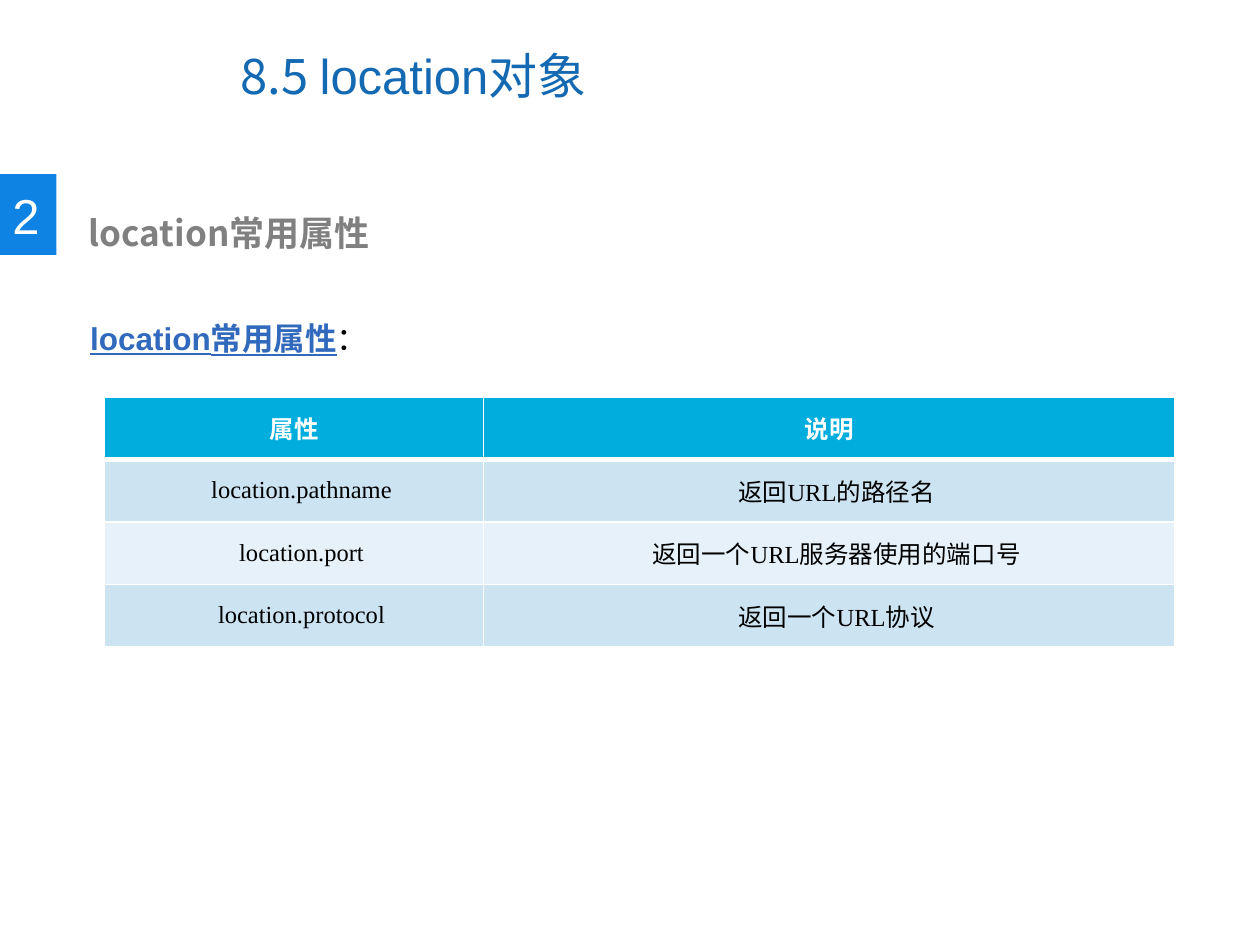
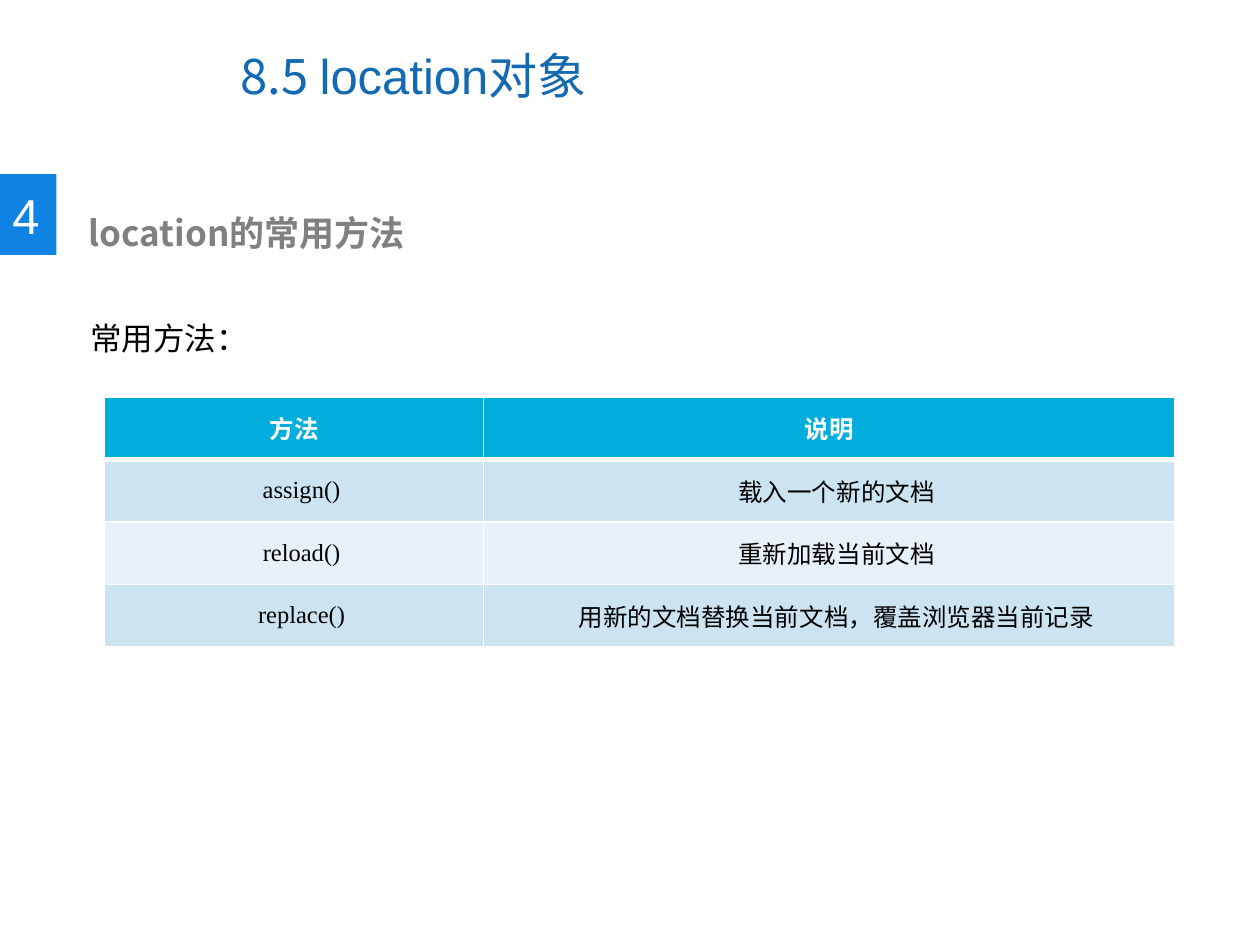
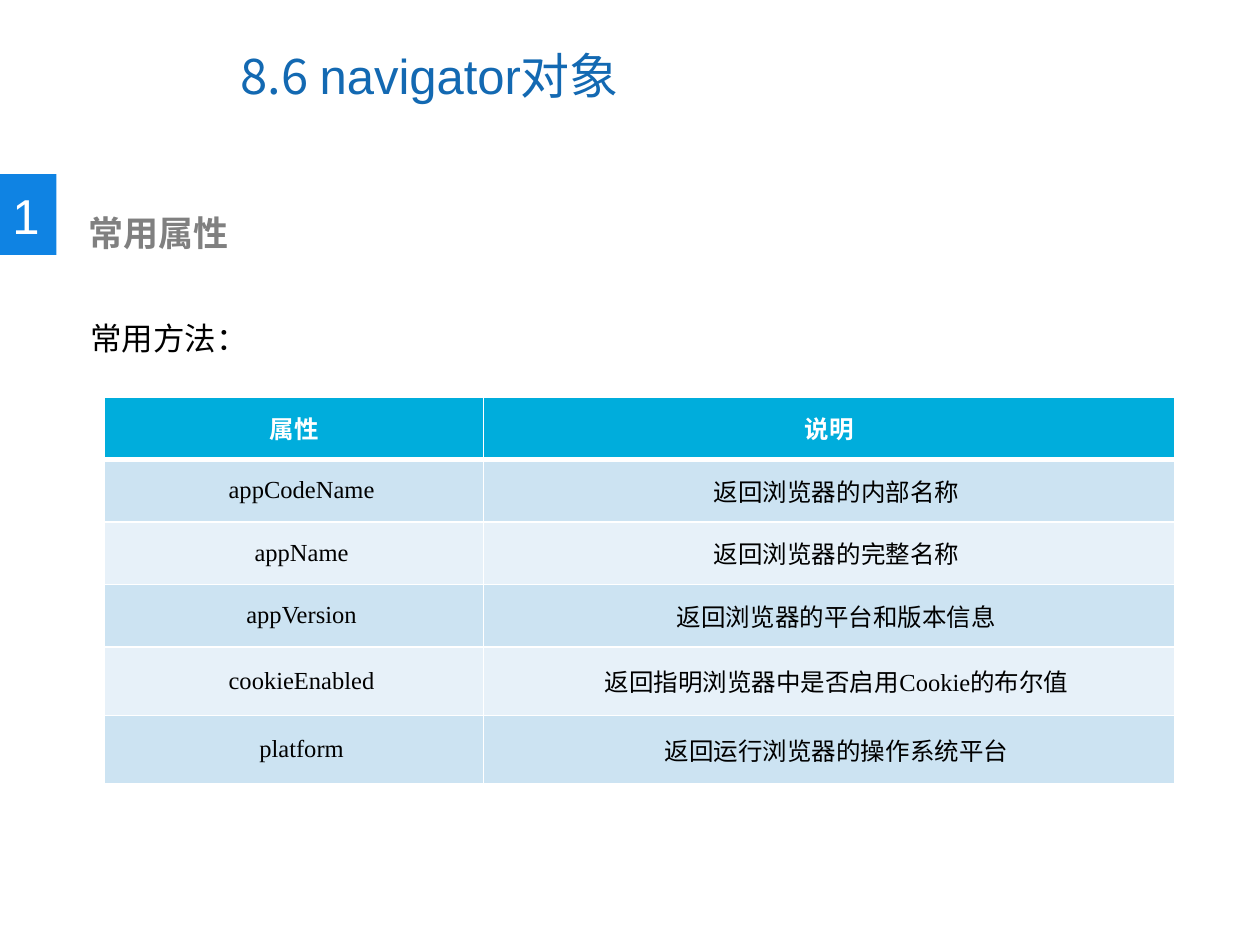
from dataclasses import dataclass

from lxml import etree
from pptx import Presentation
from pptx.dml.color import RGBColor
from pptx.enum.shapes import MSO_SHAPE
from pptx.enum.text import MSO_ANCHOR, PP_ALIGN
from pptx.oxml.ns import qn
from pptx.util import Cm, Pt

RECTANGLE = MSO_SHAPE.RECTANGLE
MIDDLE = MSO_ANCHOR.MIDDLE
LEFT, CENTER = PP_ALIGN.LEFT, PP_ALIGN.CENTER

WHITE = RGBColor(0xFF, 0xFF, 0xFF)
BLACK = RGBColor(0x00, 0x00, 0x00)
GRAY = RGBColor(0x80, 0x80, 0x80)
TITLE_BLUE = RGBColor(0x13, 0x69, 0xB2)
BADGE_BLUE = RGBColor(0x0F, 0x83, 0xE3)
TERM_BLUE = RGBColor(0x31, 0x69, 0xBD)
HEADER_CYAN = RGBColor(0x00, 0xAD, 0xDC)
BANDS = (RGBColor(0xCC, 0xE3, 0xF2), RGBColor(0xE7, 0xF1, 0xF9))

ARIAL = "Arial"
SERIF = "Times New Roman"
CHINESE = "Noto Sans CJK SC"

COLUMN_WIDTHS = (Cm(7.64), Cm(13.93))
ROW_HEIGHT = Cm(1.26)
TALL_ROW_HEIGHT = Cm(1.38)
FIRST_TALL_ROW = 4


@dataclass(frozen=True)
class Span:
    text: str
    size: int
    font: str = ARIAL
    color: RGBColor = BLACK
    bold: bool = False
    underline: bool = False


@dataclass(frozen=True)
class Topic:
    chapter: str
    subject: str
    number: str
    heading: str
    lead: tuple[Span, ...]
    rows: tuple[tuple[str, str], ...]


METHODS_LEAD = (Span("常用方法：", 18),)

TOPICS = (
    Topic(
        "8.5 ", "location", "2", "location常用属性",
        (Span("location常用属性", 18, color=TERM_BLUE, bold=True, underline=True),
         Span("：", 18)),
        (("属性", "说明"),
         ("location.pathname", "返回URL的路径名"),
         ("location.port", "返回一个URL服务器使用的端口号"),
         ("location.protocol", "返回一个URL协议")),
    ),
    Topic(
        "8.5 ", "location", "4", "location的常用方法", METHODS_LEAD,
        (("方法", "说明"),
         ("assign()", "载入一个新的文档"),
         ("reload()", "重新加载当前文档"),
         ("replace()", "用新的文档替换当前文档，覆盖浏览器当前记录")),
    ),
    Topic(
        "8.6 ", "navigator", "1", "常用属性", METHODS_LEAD,
        (("属性", "说明"),
         ("appCodeName", "返回浏览器的内部名称"),
         ("appName", "返回浏览器的完整名称"),
         ("appVersion", "返回浏览器的平台和版本信息"),
         ("cookieEnabled", "返回指明浏览器中是否启用Cookie的布尔值"),
         ("platform", "返回运行浏览器的操作系统平台")),
    ),
)


def write(para, *spans: Span, align=LEFT, indent=Cm(0)) -> None:
    para.alignment = align
    if indent:
        para_properties = para._p.get_or_add_pPr()
        para_properties.set("marL", str(int(indent)))
        para_properties.set("indent", "0")
    for span in spans:
        run = para.add_run()
        run.text = span.text
        font = run.font
        font.name, font.size = span.font, Pt(span.size)
        font.bold, font.underline = span.bold, span.underline
        font.color.rgb = span.color
        east_asian = etree.SubElement(run._r.get_or_add_rPr(), qn("a:ea"))
        east_asian.set("typeface", CHINESE)


def add_text(shapes, left, top, width, height, wrap=True):
    """Add a text box and return its first paragraph."""
    frame = shapes.add_textbox(left, top, width, height).text_frame
    frame.word_wrap = wrap
    return frame.paragraphs[0]


def set_title(page, topic: Topic) -> None:
    title = page.shapes.title
    title.left, title.top = Cm(4.6), Cm(0.43)
    title.width, title.height = Cm(13.11), Cm(2.16)
    title.text_frame.vertical_anchor = MIDDLE
    write(
        title.text_frame.paragraphs[0],
        Span(topic.chapter, 28, CHINESE, TITLE_BLUE),
        Span(topic.subject, 28, ARIAL, TITLE_BLUE),
        Span("对象", 28, CHINESE, TITLE_BLUE),
    )


def add_badge(page, number: str) -> None:
    badge = page.shapes.add_group_shape()
    square = badge.shapes.add_shape(RECTANGLE, Cm(0), Cm(3.51), Cm(1.14), Cm(1.63))
    square.shadow.inherit = False
    square.fill.solid()
    square.fill.fore_color.rgb = BADGE_BLUE
    square.line.fill.background()
    para = add_text(badge.shapes, Cm(0), Cm(3.61), Cm(1.07), Cm(1.45), wrap=False)
    write(para, Span(number, 28, color=WHITE))


def set_borders(cell, top: float, bottom: float) -> None:
    """Draw white cell borders; the side lines are always 1 point wide."""
    cell_properties = cell._tc.get_or_add_tcPr()
    widths = {"a:lnL": 1, "a:lnR": 1, "a:lnT": top, "a:lnB": bottom}
    for position, (tag, width) in enumerate(widths.items()):
        line = etree.Element(qn(tag), w=str(int(Pt(width))))
        fill = etree.SubElement(line, qn("a:solidFill"))
        etree.SubElement(fill, qn("a:srgbClr"), val=str(WHITE))
        cell_properties.insert(position, line)


def format_cell(cell, text: str, row_index: int) -> None:
    is_header = row_index == 0
    cell.margin_left = cell.margin_right = Cm(0.2)
    cell.margin_top = cell.margin_bottom = Cm(0)
    cell.vertical_anchor = MIDDLE
    cell.fill.solid()
    cell.fill.fore_color.rgb = HEADER_CYAN if is_header else BANDS[(row_index - 1) % 2]
    set_borders(cell, top=3 if row_index == 1 else 1, bottom=3 if is_header else 1)
    write(
        cell.text_frame.paragraphs[0],
        Span(text, 14, SERIF, WHITE if is_header else BLACK, bold=is_header),
        align=CENTER,
        indent=Cm(0 if is_header else 0.3),
    )


def add_reference_table(page, rows: tuple[tuple[str, str], ...]) -> None:
    heights = [TALL_ROW_HEIGHT if index >= FIRST_TALL_ROW else ROW_HEIGHT
               for index in range(len(rows))]
    table = page.shapes.add_table(
        len(rows), len(COLUMN_WIDTHS), Cm(2.11), Cm(8),
        sum(COLUMN_WIDTHS), sum(heights),
    ).table
    table.horz_banding = False
    for column, width in zip(table.columns, COLUMN_WIDTHS):
        column.width = width
    for row_index, texts in enumerate(rows):
        table.rows[row_index].height = heights[row_index]
        for column_index, text in enumerate(texts):
            format_cell(table.cell(row_index, column_index), text, row_index)


def add_page(deck, topic: Topic) -> None:
    title_only = deck.slide_layouts.get_by_name("Title Only")
    page = deck.slides.add_slide(title_only)
    set_title(page, topic)
    add_badge(page, topic.number)
    heading = add_text(page.shapes, Cm(1.19), Cm(4.14), Cm(13.06), Cm(1.12))
    write(heading, Span(topic.heading, 20, CHINESE, GRAY, bold=True), indent=Cm(0.35))
    lead = add_text(page.shapes, Cm(1.57), Cm(5.54), Cm(21.97), Cm(1.55))
    lead.line_spacing = 2.0
    write(lead, *topic.lead)
    add_reference_table(page, topic.rows)


def main() -> None:
    deck = Presentation()
    deck.slide_width, deck.slide_height = Cm(25.4), Cm(19.05)
    for topic in TOPICS:
        add_page(deck, topic)
    deck.save("out.pptx")


if __name__ == "__main__":
    main()
